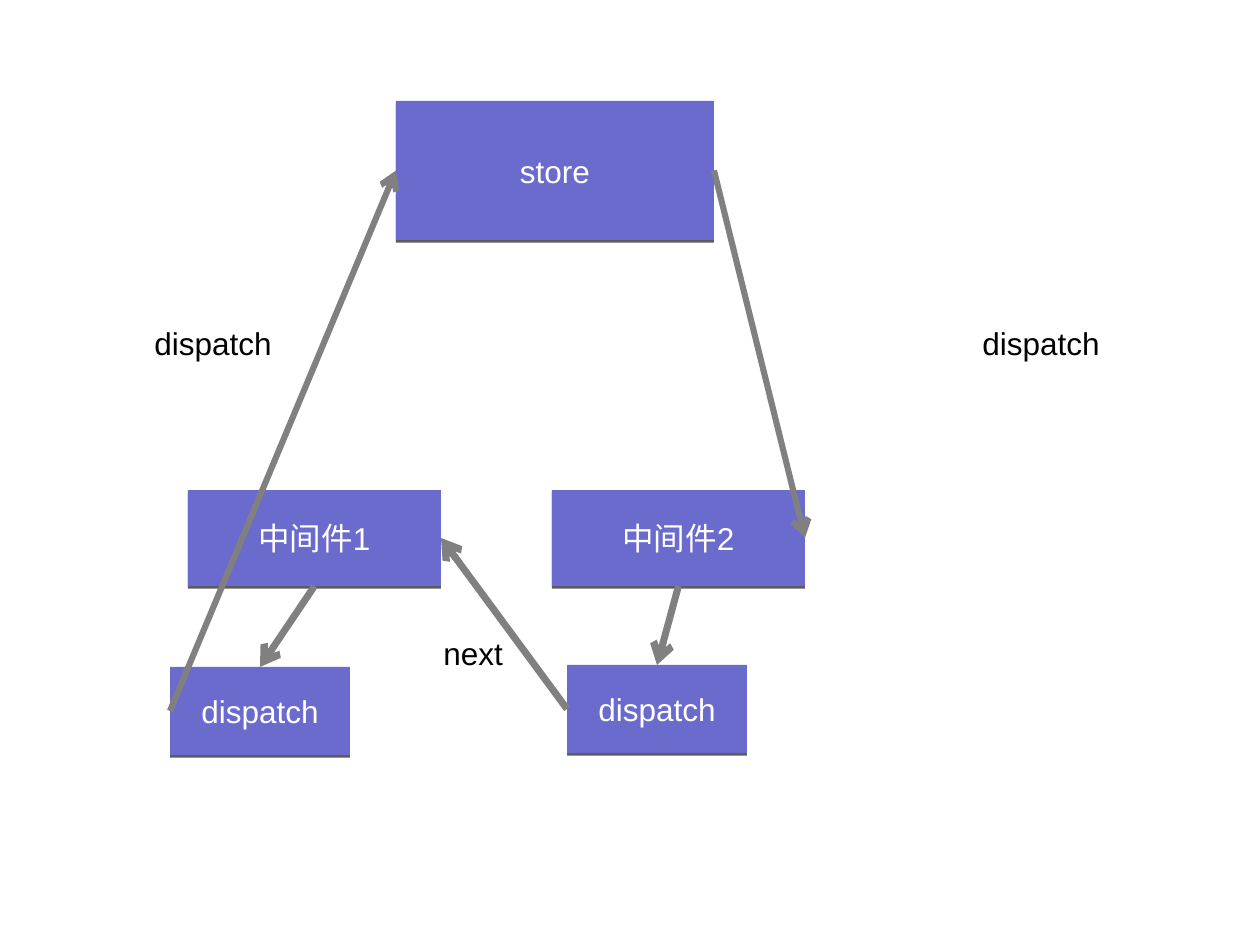
from lxml.etree import SubElement
from pptx import Presentation
from pptx.dml.color import RGBColor
from pptx.enum.shapes import MSO_CONNECTOR, MSO_SHAPE
from pptx.enum.text import MSO_ANCHOR, PP_ALIGN
from pptx.oxml.ns import qn
from pptx.util import Pt

PX = 914400 / 126
HUES = {"box": "6B6BCE", "line": "808080", "light": "FFFFFF", "dark": "000000"}
FONT = {"name": "Arial", "size": Pt(18)}
BOXES = {
    "store": ("store", 396, 101, 318, 139),
    "first": ("中间件1", 188, 490, 253, 96),
    "second": ("中间件2", 552, 490, 253, 96),
    "left": ("dispatch", 170, 667, 180, 88),
    "right": ("dispatch", 567, 665, 180, 88),
}
TOP, LEFT, BOTTOM, RIGHT = range(4)
ARROWS = [
    ("first", BOTTOM, "left", TOP, 4),
    ("second", BOTTOM, "right", TOP, 4),
    ("right", LEFT, "first", RIGHT, 4),
    ("store", RIGHT, "second", RIGHT, 3.5),
    ("left", LEFT, "store", LEFT, 3.5),
]
LABELS = [
    ("dispatch", 970, 318, 181, 50),
    ("dispatch", 142, 318, 181, 50),
    ("next", 431, 628, 92, 50),
]


def scale(*nums):
    return [round(n * PX) for n in nums]


def color(key):
    return RGBColor.from_string(HUES[key])


def write(shape, text, hue):
    frame = shape.text_frame
    frame.word_wrap = True
    para = frame.paragraphs[0]
    run = para.add_run()
    run.text = text
    for key, val in FONT.items():
        setattr(run.font, key, val)
    run.font.color.rgb = color(hue)
    return frame, para


def add_box(slide, text, *area):
    box = slide.shapes.add_shape(MSO_SHAPE.RECTANGLE, *scale(*area))
    box.fill.solid()
    box.fill.fore_color.rgb = color("box")
    box.line.fill.background()
    box.shadow.inherit = False
    effect = box._element.spPr.find(qn("a:effectLst"))
    shade = SubElement(effect, qn("a:outerShdw"), blurRad="0",
                       dist=str(Pt(1.5)), dir="5400000", rotWithShape="0")
    tone = SubElement(shade, qn("a:srgbClr"), val=HUES["dark"])
    SubElement(tone, qn("a:alpha"), val="63000")
    frame, para = write(box, text, "light")
    frame.vertical_anchor = MSO_ANCHOR.MIDDLE
    para.alignment = PP_ALIGN.CENTER
    return box


def add_arrow(slide, start, out, end, into, width):
    line = slide.shapes.add_connector(MSO_CONNECTOR.STRAIGHT, 0, 0, 0, 0)
    line.begin_connect(start, out)
    line.end_connect(end, into)
    line.line.color.rgb = color("line")
    line.line.width = Pt(width)
    SubElement(line.line._get_or_add_ln(), qn("a:tailEnd"), type="arrow")
    SubElement(line._element.spPr, qn("a:effectLst"))


def main():
    deck = Presentation()
    deck.slide_width, deck.slide_height = scale(1260, 945)
    slide = deck.slides.add_slide(deck.slide_layouts[6])
    boxes = {key: add_box(slide, *item) for key, item in BOXES.items()}
    for start, out, end, into, width in ARROWS:
        add_arrow(slide, boxes[start], out, boxes[end], into, width)
    for text, *area in LABELS:
        write(slide.shapes.add_textbox(*scale(*area)), text, "dark")
    deck.save("out.pptx")


if __name__ == "__main__":
    main()
